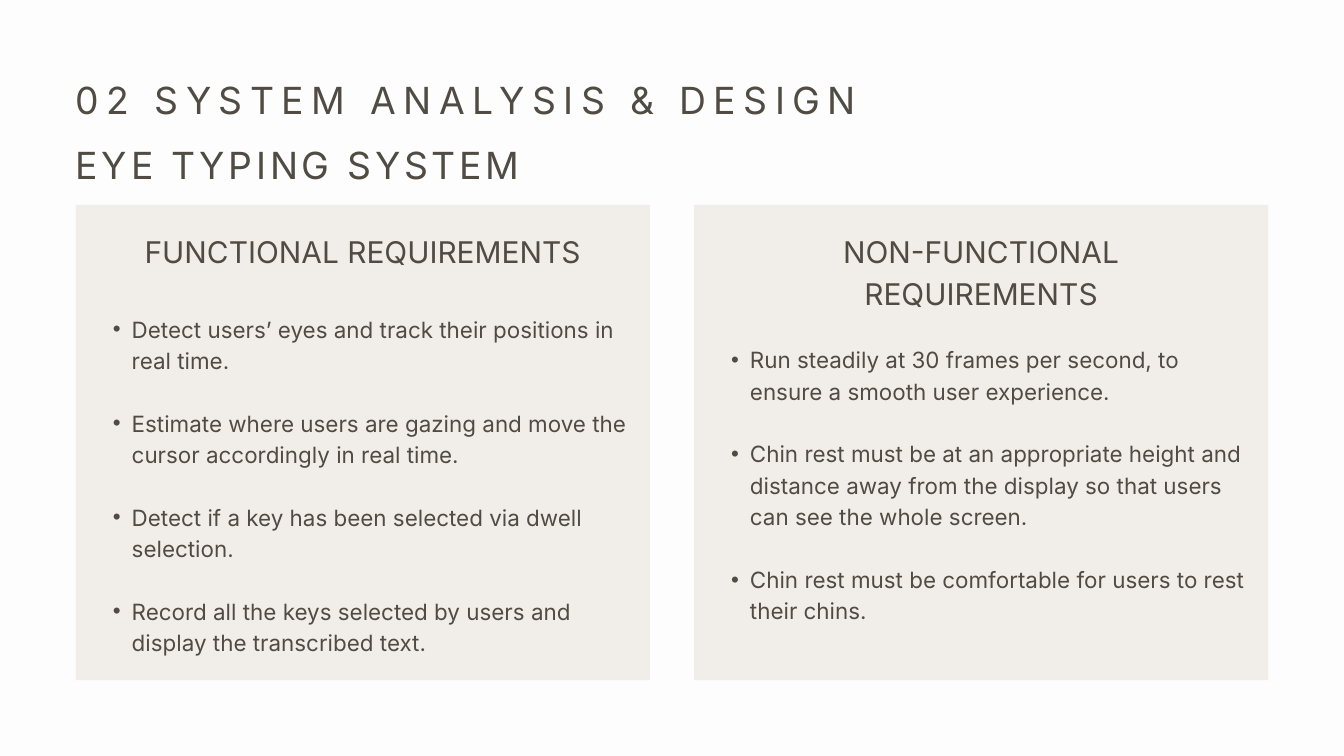
import pptx
import pptx.dml.color
import pptx.enum.shapes
import pptx.enum.text
import pptx.oxml.ns
import pptx.util
import lxml.etree

SLIDE_WIDTH, SLIDE_HEIGHT = 20, 11.25
MARGIN = 1.13
GUTTER = 0.66
COLUMN_WIDTH = (SLIDE_WIDTH - 2 * MARGIN - GUTTER) / 2
PANEL_TOP, PANEL_HEIGHT = 3.05, 7.07
LINE_FACTOR = 1.4
FONT = "Inter"
COLORS = {"background": "FDFDFD", "panel": "F1EDE9", "text": "504C44"}

PANELS = [
    ("FUNCTIONAL REQUIREMENTS", 1.58, [
        "Detect users’ eyes and track their positions in real time.",
        "Estimate where users are gazing and move the cursor accordingly in real time.",
        "Detect if a key has been selected via dwell selection.",
        "Record all the keys selected by users and display the transcribed text.",
    ]),
    ("NON-FUNCTIONAL REQUIREMENTS", 2.04, [
        "Run steadily at 30 frames per second, to ensure a smooth user experience.",
        "Chin rest must be at an appropriate height and distance away from the display "
        "so that users can see the whole screen.",
        "Chin rest must be comfortable for users to rest their chins.",
    ]),
]


def color(name):
    return pptx.dml.color.RGBColor.from_string(COLORS[name])


def place(shape, box):
    shape.left, shape.top, shape.width, shape.height = map(pptx.util.Inches, box)


def prepare_frame(shape):
    frame = shape.text_frame
    frame.margin_left = frame.margin_right = frame.margin_top = frame.margin_bottom = 0
    frame.word_wrap = True
    frame.auto_size = pptx.enum.text.MSO_AUTO_SIZE.NONE
    frame.vertical_anchor = pptx.enum.text.MSO_ANCHOR.TOP
    return frame


def format_paragraph(paragraph, size, alignment=pptx.enum.text.PP_ALIGN.LEFT, spacing=0):
    paragraph.alignment = alignment
    paragraph.line_spacing = pptx.util.Pt(size * LINE_FACTOR)
    for run in paragraph.runs:
        run.font.name = FONT
        run.font.size = pptx.util.Pt(size)
        run.font.color.rgb = color("text")
        if spacing:
            run.font._element.set("spc", str(spacing * 100))


def add_bullet(paragraph):
    properties = paragraph._p.get_or_add_pPr()
    properties.set("marL", str(pptx.util.Inches(0.57)))
    properties.set("indent", str(pptx.util.Inches(-0.28)))
    for tag, attribute, value in (("a:buFont", "typeface", "Arial"), ("a:buChar", "char", "•")):
        bullet = lxml.etree.SubElement(properties, pptx.oxml.ns.qn(tag))
        bullet.set(attribute, value)


def add_text(shapes, box):
    return prepare_frame(shapes.add_textbox(*map(pptx.util.Inches, box)))


def add_heading(slide, left, top, width):
    title = slide.shapes.title
    place(title, (left, top, width, 0.72))
    frame = prepare_frame(title)
    frame.text = "02 SYSTEM ANALYSIS & DESIGN"
    format_paragraph(frame.paragraphs[0], 40, spacing=8)

    frame = add_text(slide.shapes, (left, top + 0.97, width, 0.74))
    frame.text = "EYE TYPING SYSTEM"
    format_paragraph(frame.paragraphs[0], 40, spacing=4)


def add_panel(slide, box, heading, list_offset, items):
    left, top, width, height = box
    shapes = slide.shapes.add_group_shape().shapes
    card = shapes.add_shape(
        pptx.enum.shapes.MSO_SHAPE.RECTANGLE, *map(pptx.util.Inches, box))
    card.shadow.inherit = False
    card.fill.solid()
    card.fill.fore_color.rgb = color("panel")
    card.line.fill.background()

    frame = add_text(shapes, (left + 0.66, top + 0.34, 7.22, list_offset - 0.85))
    frame.text = heading
    format_paragraph(frame.paragraphs[0], 32, pptx.enum.text.PP_ALIGN.CENTER)

    frame = add_text(
        shapes, (left + 0.26, top + list_offset, 8.02, height - list_offset - 0.28))
    frame.text = "\n".join(items)
    for index, paragraph in enumerate(frame.paragraphs):
        format_paragraph(paragraph, 24)
        if index:
            paragraph.space_before = pptx.util.Pt(24 * LINE_FACTOR)
        add_bullet(paragraph)


def main():
    presentation = pptx.Presentation()
    presentation.slide_width = pptx.util.Inches(SLIDE_WIDTH)
    presentation.slide_height = pptx.util.Inches(SLIDE_HEIGHT)
    slide = presentation.slides.add_slide(presentation.slide_layouts[5])
    slide.background.fill.solid()
    slide.background.fill.fore_color.rgb = color("background")

    add_heading(slide, MARGIN, 1.04, 11.96)
    for column, panel in enumerate(PANELS):
        left = MARGIN + column * (COLUMN_WIDTH + GUTTER)
        add_panel(slide, (left, PANEL_TOP, COLUMN_WIDTH, PANEL_HEIGHT), *panel)
    presentation.save("out.pptx")


if __name__ == "__main__":
    main()
